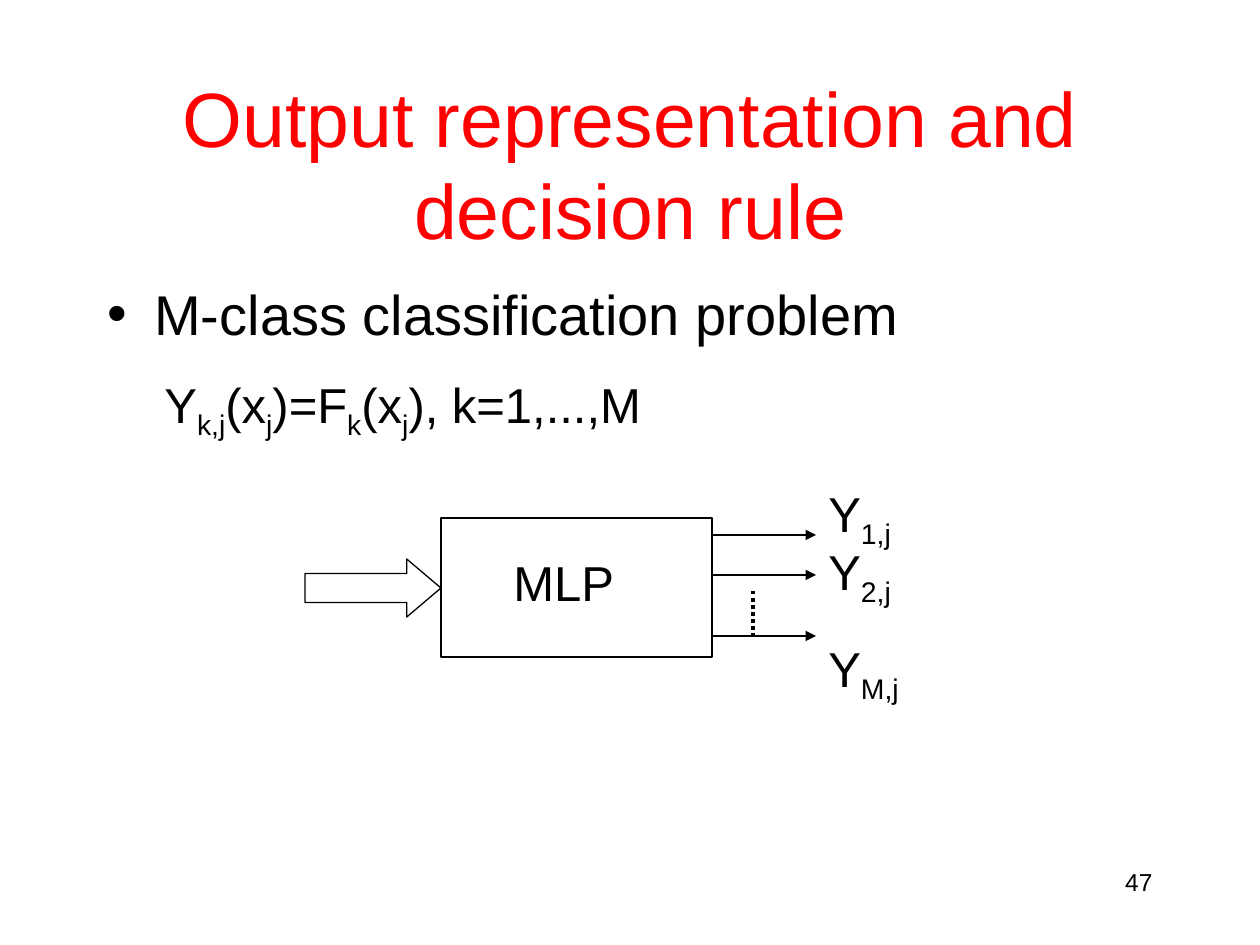
"""Build the slide on output representation and decision rule of an MLP."""
import pptx
import pptx.dml.color
import pptx.enum.dml
import pptx.enum.shapes
import pptx.enum.text
import pptx.oxml.ns
import pptx.util
from lxml import etree

PX = 914400 // 126
BLACK = "000000"
RED = "FF0000"


def color(value):
    return pptx.dml.color.RGBColor.from_string(value)


def write(shape, box, runs, size, fill=BLACK, align=pptx.enum.text.PP_ALIGN.LEFT):
    shape.left, shape.top, shape.width, shape.height = [value * PX for value in box]
    shape.text_frame.word_wrap = True
    shape.text_frame.auto_size = pptx.enum.text.MSO_AUTO_SIZE.NONE
    paragraph = shape.text_frame.paragraphs[0]
    paragraph.alignment = align
    for index, text in enumerate(runs):
        run = paragraph.add_run()
        run.text = text
        run.font.name = "Arial"
        run.font.size = pptx.util.Pt(size)
        run.font.color.rgb = color(fill)
        if index % 2:
            run.font._element.set("baseline", "-25000")
    return paragraph


presentation = pptx.Presentation()
presentation.slide_width = 1260 * PX
presentation.slide_height = 945 * PX
slide = presentation.slides.add_slide(presentation.slide_layouts[5])
shapes = slide.shapes

write(shapes.title, (95, 84, 1071, 158), ["Output representation and decision rule"],
      44, RED, pptx.enum.text.PP_ALIGN.CENTER)
shapes.title.text_frame.vertical_anchor = pptx.enum.text.MSO_ANCHOR.MIDDLE

bullet_box = shapes.add_textbox(0, 0, 0, 0)
bullet = write(bullet_box, (95, 273, 1071, 567), ["M-class classification problem"], 32)
properties = bullet._p.get_or_add_pPr()
properties.set("marL", str(47 * PX))
properties.set("indent", str(-47 * PX))
etree.SubElement(properties, pptx.oxml.ns.qn("a:buFont")).set("typeface", "Arial")
etree.SubElement(properties, pptx.oxml.ns.qn("a:buChar")).set("char", "•")

formula_box = shapes.add_textbox(0, 0, 0, 0)
write(formula_box, (152, 368, 501, 79),
      ["Y", "k,j", "(x", "j", ")=F", "k", "(x", "j", "), k=1,...,M"], 28)
formula_box.text_frame.word_wrap = False

for kind, box in (
    (pptx.enum.shapes.MSO_SHAPE.RECTANGLE, (441, 518, 271, 139)),
    (pptx.enum.shapes.MSO_SHAPE.RIGHT_ARROW, (305, 559, 136, 58)),
):
    shape = shapes.add_shape(kind, *[value * PX for value in box])
    shape.shadow.inherit = False
    shape.fill.background()
    shape.line.color.rgb = color(BLACK)
    shape.line.width = pptx.util.Pt(0.75)
    if kind == pptx.enum.shapes.MSO_SHAPE.RIGHT_ARROW:
        shape.adjustments[1] = 0.59

write(shapes.add_textbox(0, 0, 0, 0), (501, 546, 136, 72), ["MLP"], 28)

for x1, y1, x2, y2, is_output in (
    (712, 535, 816, 535, True),
    (712, 575, 816, 575, True),
    (712, 636, 816, 636, True),
    (753, 591, 753, 636, False),
):
    connector = shapes.add_connector(
        pptx.enum.shapes.MSO_CONNECTOR.STRAIGHT, x1 * PX, y1 * PX, x2 * PX, y2 * PX)
    connector.line.color.rgb = color(BLACK)
    connector.line.width = pptx.util.Pt(0.75 if is_output else 2)
    if is_output:
        tail = etree.SubElement(connector.line._get_or_add_ln(), pptx.oxml.ns.qn("a:tailEnd"))
        tail.set("type", "triangle")
    else:
        connector.line.dash_style = pptx.enum.dml.MSO_LINE.ROUND_DOT
    etree.SubElement(connector._element.spPr, pptx.oxml.ns.qn("a:effectLst"))

for subscript, top, width, height, spacing in (
    ("1,j", 457, 116, 100, 1.3),
    ("2,j", 535, 139, 79, 1),
    ("M,j", 612, 116, 100, 1.3),
):
    label = write(shapes.add_textbox(0, 0, 0, 0), (816, top, width, height),
                  ["Y", subscript], 28)
    label.line_spacing = spacing

write(shapes.add_textbox(0, 0, 0, 0), (903, 861, 262, 63), ["47"], 14,
      align=pptx.enum.text.PP_ALIGN.RIGHT)

presentation.save("out.pptx")
